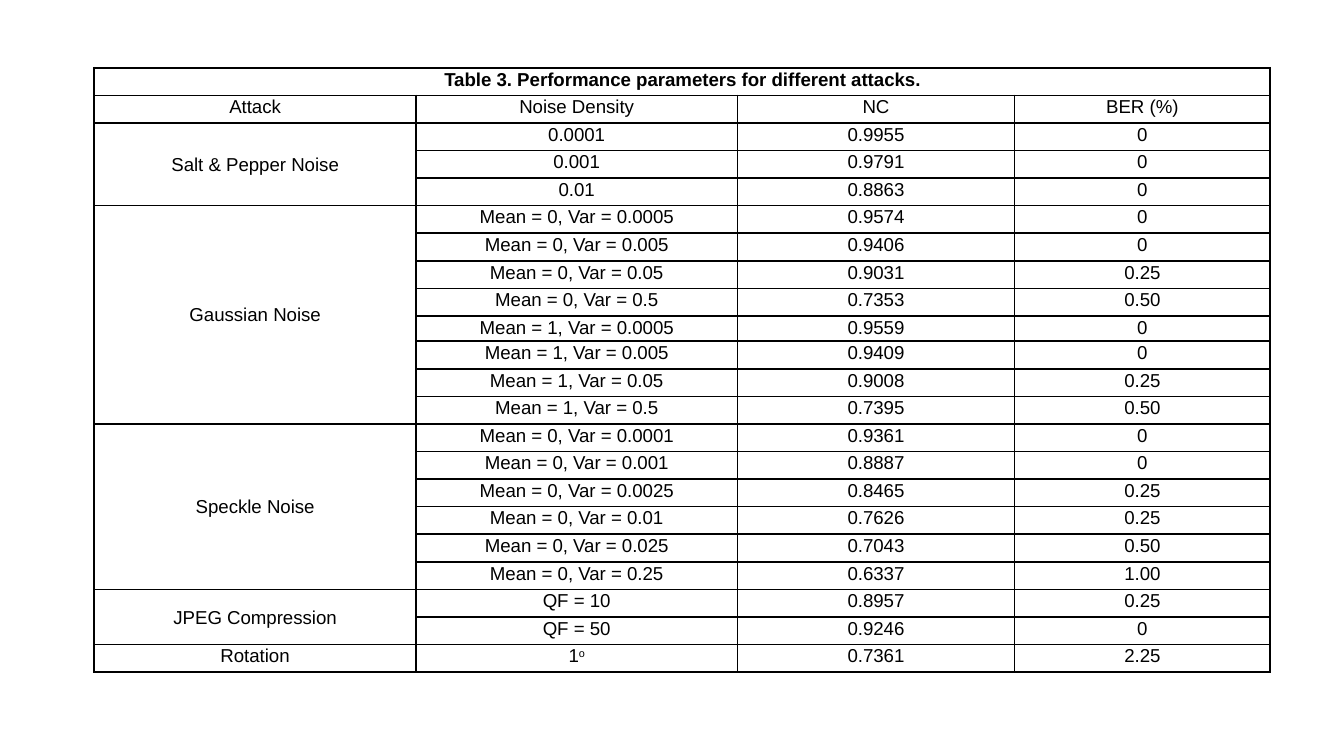
from lxml.etree import SubElement
from pptx import Presentation
from pptx.dml.color import RGBColor
from pptx.enum.text import MSO_ANCHOR, PP_ALIGN
from pptx.oxml.ns import qn
from pptx.util import Pt

COLORS = {"ink": "000000"}
FONT = "Arial"
CAPTION = "Table 3. Performance parameters for different attacks."
HEADINGS = ("Attack", "Noise Density", "NC", "BER (%)")
COLUMN_SHARES = (2.39, 2.39, 2.06, 1.9)
SHORT_ROW, SHORT_HEIGHT = 9, 13.6

# Attack -> (noise setting, NC, BER)
ATTACKS = {
    "Salt & Pepper Noise": [
        ("0.0001", "0.9955", "0"),
        ("0.001", "0.9791", "0"),
        ("0.01", "0.8863", "0"),
    ],
    "Gaussian Noise": [
        ("Mean = 0, Var = 0.0005", "0.9574", "0"),
        ("Mean = 0, Var = 0.005", "0.9406", "0"),
        ("Mean = 0, Var = 0.05", "0.9031", "0.25"),
        ("Mean = 0, Var = 0.5", "0.7353", "0.50"),
        ("Mean = 1, Var = 0.0005", "0.9559", "0"),
        ("Mean = 1, Var = 0.005", "0.9409", "0"),
        ("Mean = 1, Var = 0.05", "0.9008", "0.25"),
        ("Mean = 1, Var = 0.5", "0.7395", "0.50"),
    ],
    "Speckle Noise": [
        ("Mean = 0, Var = 0.0001", "0.9361", "0"),
        ("Mean = 0, Var = 0.001", "0.8887", "0"),
        ("Mean = 0, Var = 0.0025", "0.8465", "0.25"),
        ("Mean = 0, Var = 0.01", "0.7626", "0.25"),
        ("Mean = 0, Var = 0.025", "0.7043", "0.50"),
        ("Mean = 0, Var = 0.25", "0.6337", "1.00"),
    ],
    "JPEG Compression": [
        ("QF = 10", "0.8957", "0.25"),
        ("QF = 50", "0.9246", "0"),
    ],
    "Rotation": [("1", "0.7361", "2.25")],
}


def add_borders(cell):
    properties = cell._tc.get_or_add_tcPr()
    for side in ("lnL", "lnR", "lnT", "lnB"):
        border = SubElement(properties, qn(f"a:{side}"), w=str(Pt(1)))
        fill = SubElement(border, qn("a:solidFill"))
        SubElement(fill, qn("a:srgbClr"), val=COLORS["ink"])


def format_cell(cell, bold=False):
    add_borders(cell)
    cell.fill.background()
    cell.margin_left = cell.margin_right = Pt(5)
    cell.margin_top = cell.margin_bottom = 0
    paragraph = cell.text_frame.paragraphs[0]
    paragraph.alignment = PP_ALIGN.CENTER
    paragraph.line_spacing = 1.07
    paragraph.space_after = Pt(8)
    for run in paragraph.runs:
        run.font.name = FONT
        run.font.size = Pt(10)
        run.font.bold = bold
        run.font.color.rgb = RGBColor.from_string(COLORS["ink"])


def fill_attacks(table, first_row):
    row = first_row
    for attack, results in ATTACKS.items():
        attack_cell = table.cell(row, 0)
        attack_cell.text_frame.text = attack
        if len(results) > 1:
            attack_cell.merge(table.cell(row + len(results) - 1, 0))
            attack_cell.vertical_anchor = MSO_ANCHOR.MIDDLE
        for result in results:
            for column, value in enumerate(result, start=1):
                table.cell(row, column).text_frame.text = value
            row += 1

    # Degree sign of the rotation angle
    angle = table.cell(row - 1, 1).text_frame.paragraphs[0]
    degree = angle.add_run()
    degree.text = "o"
    degree._r.get_or_add_rPr().set("baseline", "30000")


def add_results_table(slide, left, top, width, height):
    row_count = 2 + sum(len(results) for results in ATTACKS.values())
    table = slide.shapes.add_table(
        row_count, len(HEADINGS), Pt(left), Pt(top), Pt(width), Pt(height)
    ).table
    table.first_row = table.horz_banding = False

    # Grid
    for column, share in zip(table.columns, COLUMN_SHARES):
        column.width = Pt(width * share / sum(COLUMN_SHARES))
    row_height = (height - SHORT_HEIGHT) / (row_count - 1)
    for index, row in enumerate(table.rows):
        row.height = Pt(SHORT_HEIGHT if index == SHORT_ROW else row_height)

    # Caption and headings
    caption = table.cell(0, 0)
    caption.text_frame.text = CAPTION
    caption.merge(table.cell(0, len(HEADINGS) - 1))
    for column, heading in enumerate(HEADINGS):
        table.cell(1, column).text_frame.text = heading

    # Results
    fill_attacks(table, first_row=2)
    for index, row in enumerate(table.rows):
        for cell in row.cells:
            format_cell(cell, bold=index == 0)

    # The compression label sits slightly lower
    compression_row = row_count - 3
    label = table.cell(compression_row, 0).text_frame.paragraphs[0]
    label.space_before, label.space_after = Pt(2), Pt(0)


def main():
    presentation = Presentation()
    presentation.slide_width, presentation.slide_height = Pt(720), Pt(405)
    slide = presentation.slides.add_slide(presentation.slide_layouts[6])
    add_results_table(slide, left=50.5, top=36.3, width=630, height=323.8)
    presentation.save("out.pptx")


if __name__ == "__main__":
    main()
